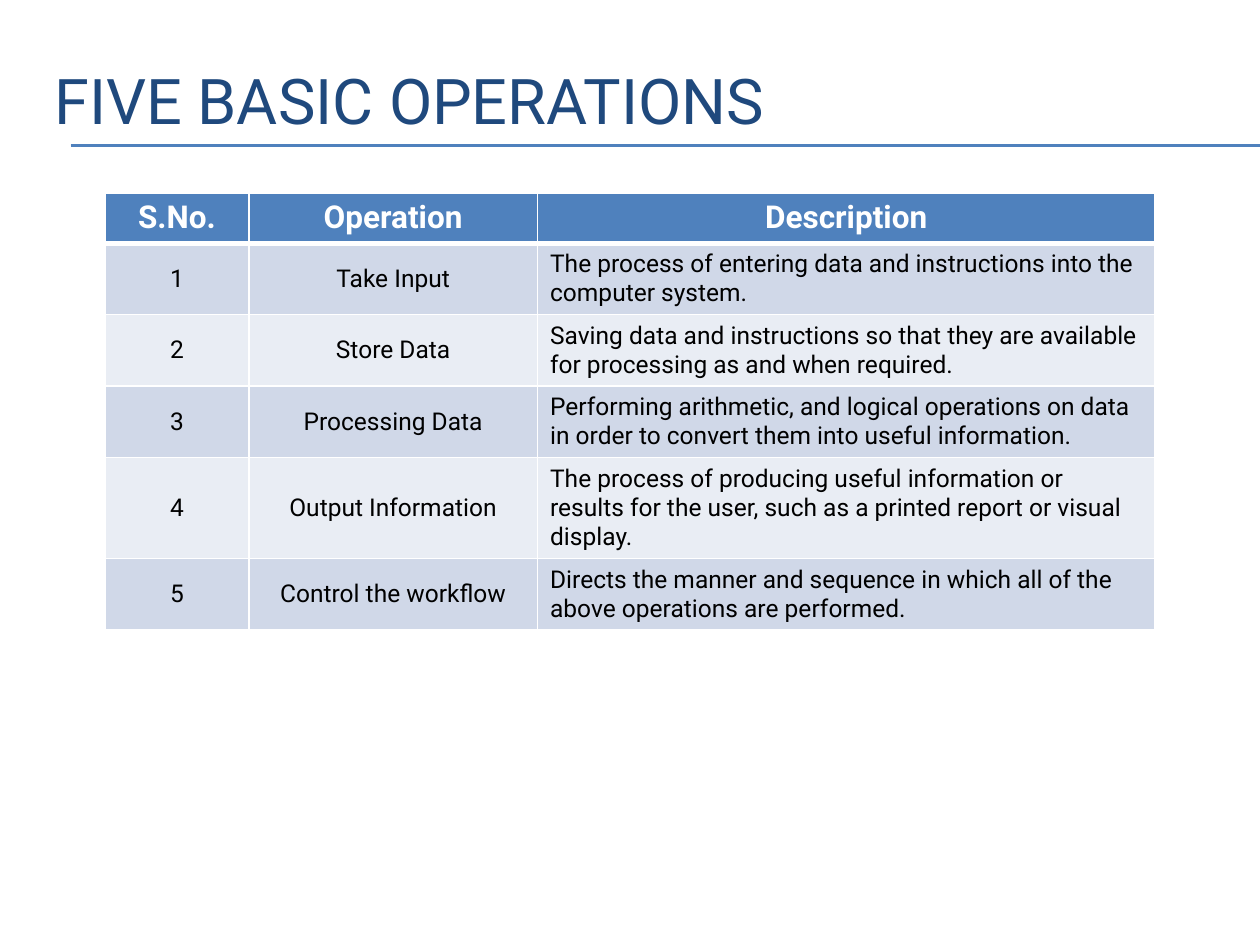
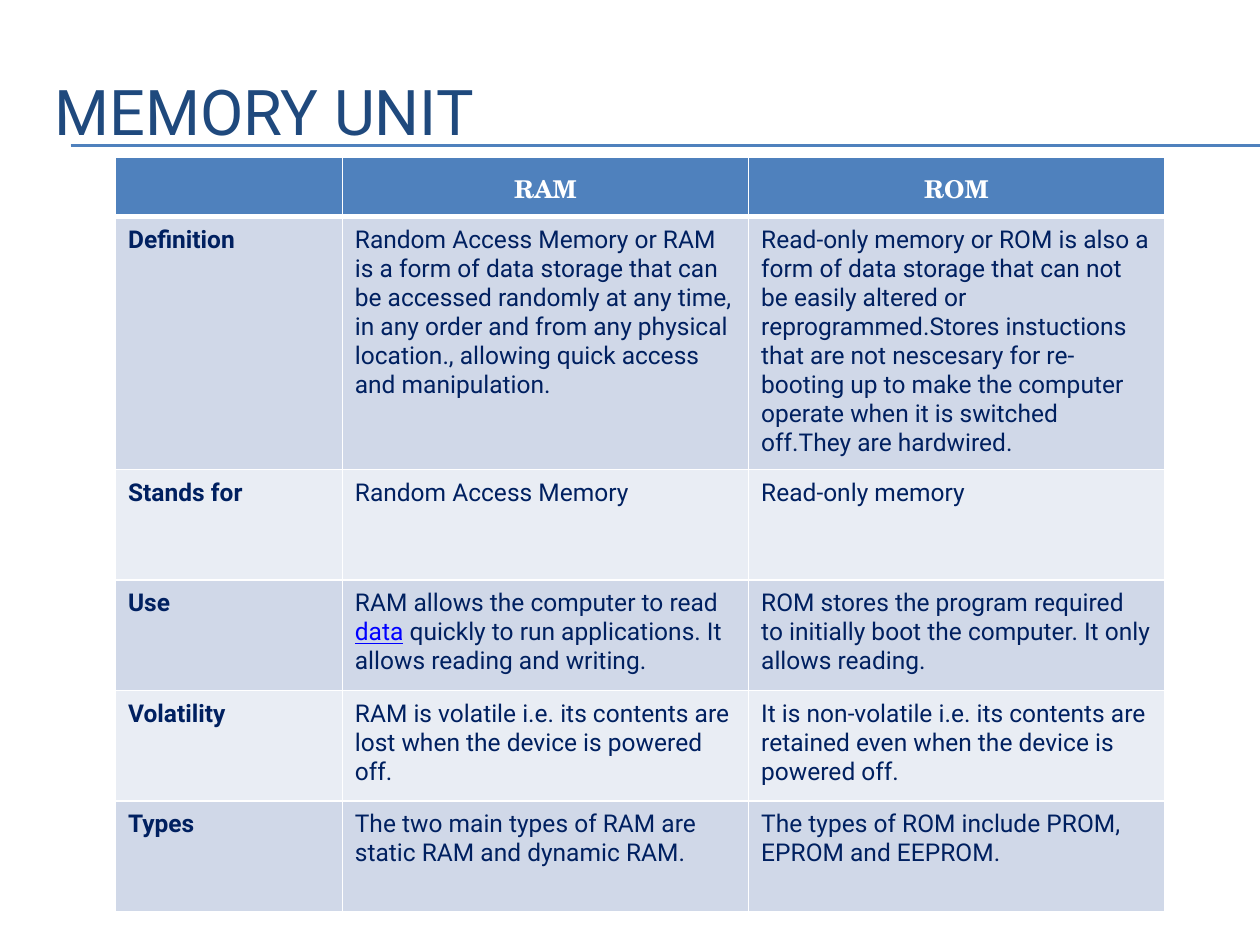
from dataclasses import dataclass

from lxml.etree import SubElement
from pptx import Presentation
from pptx.dml.color import RGBColor
from pptx.enum.shapes import MSO_CONNECTOR
from pptx.enum.text import MSO_ANCHOR, PP_ALIGN
from pptx.oxml.ns import qn
from pptx.util import Emu, Inches, Pt

# Shared look
BLUE = RGBColor(0x4F, 0x81, 0xBD)
TITLE_BLUE = RGBColor(0x1F, 0x49, 0x7D)
NAVY = RGBColor(0x00, 0x20, 0x60)
LINK_BLUE = RGBColor(0x00, 0x00, 0xFF)
BLACK = RGBColor(0x00, 0x00, 0x00)
WHITE = RGBColor(0xFF, 0xFF, 0xFF)
BANDS = (RGBColor(0xD0, 0xD8, 0xE8), RGBColor(0xE9, 0xED, 0xF4))
SANS = "Roboto"
SERIF = "TeX Gyre Schola"

# Slide grid: 120 columns by 90 rows of square cells
WIDTH, HEIGHT = Inches(10), Inches(7.5)
GRID_COLS = 120
RULE_LEFT = 6.72
RULE_ROWS = (13.8, 13.92)


@dataclass(frozen=True)
class Style:
    size: float
    color: RGBColor
    font: str = SANS
    bold: bool = False
    underline: bool = False


@dataclass(frozen=True)
class CellStyle:
    text: Style
    align: PP_ALIGN = PP_ALIGN.LEFT
    anchor: MSO_ANCHOR = MSO_ANCHOR.TOP
    insets: tuple[float, float, float, float] = (0.1, 0.05, 0.1, 0.05)


@dataclass(frozen=True)
class TableSpec:
    left: float
    top: float
    col_widths: tuple[float, ...]
    row_heights: tuple[float, ...]
    header: CellStyle
    body: tuple[CellStyle, ...]
    rows: tuple[tuple, ...]


@dataclass(frozen=True)
class SlideSpec:
    title: str
    title_top: float
    title_height: float
    table: TableSpec


TITLE = Style(36, TITLE_BLUE)
LINK = Style(14, LINK_BLUE, underline=True)


def grid(n: float) -> Emu:
    """Length of n grid cells."""
    return Emu(round(n * WIDTH / GRID_COLS))


def add_run(p, text: str, style: Style) -> None:
    r = p.add_run()
    r.text = text
    r.font.name = style.font
    r.font.size = Pt(style.size)
    r.font.bold = style.bold
    r.font.underline = style.underline
    r.font.color.rgb = style.color


def add_title(s, spec: SlideSpec) -> None:
    sp = s.shapes.add_textbox(grid(4), grid(spec.title_top), grid(114), grid(spec.title_height))
    tf = sp.text_frame
    tf.word_wrap = True
    tf.vertical_anchor = MSO_ANCHOR.MIDDLE
    add_run(tf.paragraphs[0], spec.title, TITLE)


def add_rules(s) -> None:
    for row in RULE_ROWS:
        line = s.shapes.add_connector(
            MSO_CONNECTOR.STRAIGHT, grid(RULE_LEFT), grid(row), WIDTH, grid(row))
        line.line.color.rgb = BLUE
        line.line.width = Pt(0.75)
        SubElement(line._element.spPr, qn("a:effectLst"))


def set_borders(cell, top: float, bottom: float) -> None:
    tc_pr = cell._tc.get_or_add_tcPr()
    for side, width in (("L", 1), ("R", 1), ("T", top), ("B", bottom)):
        ln = SubElement(tc_pr, qn(f"a:ln{side}"), w=str(Pt(width)))
        fill = SubElement(ln, qn("a:solidFill"))
        SubElement(fill, qn("a:srgbClr"), val=str(WHITE))


def fill_cell(cell, content, style: CellStyle) -> None:
    """Write a string, or a sequence of strings and (text, style) runs."""
    (cell.margin_left, cell.margin_top,
     cell.margin_right, cell.margin_bottom) = map(Inches, style.insets)
    cell.vertical_anchor = style.anchor
    p = cell.text_frame.paragraphs[0]
    p.alignment = style.align
    parts = (content,) if isinstance(content, str) else content
    for part in filter(None, parts):
        text, run_style = (part, style.text) if isinstance(part, str) else part
        add_run(p, text, run_style)


def add_grid_table(s, spec: TableSpec) -> None:
    table = s.shapes.add_table(
        len(spec.rows), len(spec.col_widths), grid(spec.left), grid(spec.top),
        grid(sum(spec.col_widths)), grid(sum(spec.row_heights))).table
    for col, width in zip(table.columns, spec.col_widths):
        col.width = grid(width)
    for i, (row, height) in enumerate(zip(spec.rows, spec.row_heights)):
        table.rows[i].height = grid(height)
        for j, content in enumerate(row):
            cell = table.cell(i, j)
            # The heavy line runs between header and first body row
            set_borders(cell, top=3 if i == 1 else 1, bottom=3 if i == 0 else 1)
            cell.fill.solid()
            cell.fill.fore_color.rgb = BANDS[(i - 1) % 2] if i else BLUE
            fill_cell(cell, content, spec.body[j] if i else spec.header)


# Five operations
op_text = Style(14, BLACK)
op_center = CellStyle(op_text, PP_ALIGN.CENTER, MSO_ANCHOR.MIDDLE)
OPERATIONS = TableSpec(
    left=10, top=18.36,
    col_widths=(13.7, 27.5, 58.8),
    row_heights=(4.65, 6.75, 6.75, 6.75, 9.5, 6.75),
    header=CellStyle(Style(18, WHITE, bold=True), PP_ALIGN.CENTER, MSO_ANCHOR.MIDDLE),
    body=(op_center, op_center, CellStyle(op_text, anchor=MSO_ANCHOR.MIDDLE)),
    rows=(
        ("S.No.", "Operation", "Description"),
        ("1", "Take Input",
         "The process of entering data and instructions into the computer system."),
        ("2", "Store Data",
         "Saving data and instructions so that they are available for processing "
         "as and when required."),
        ("3", "Processing Data",
         "Performing arithmetic, and logical operations on data in order to convert "
         "them into useful information."),
        ("4", "Output Information",
         "The process of producing useful information or results for the user, "
         "such as a printed report or visual display."),
        ("5", "Control the workflow",
         "Directs the manner and sequence in which all of the above operations "
         "are performed."),
    ),
)

# RAM against ROM
memory_cell = CellStyle(Style(14, NAVY), insets=(0.1, 0.07, 0.1, 0.07))
MEMORY = TableSpec(
    left=11, top=15,
    col_widths=(21.6, 38.7, 39.6),
    row_heights=(5.6, 23.9) + (10.53,) * 4,
    header=CellStyle(Style(14, WHITE, SERIF, bold=True), PP_ALIGN.CENTER,
                     insets=(0.08, 0.1, 0.08, 0.07)),
    body=(CellStyle(Style(14, NAVY, bold=True), insets=(0.1, 0.07, 0.05, 0.07)),
          memory_cell, memory_cell),
    rows=(
        ("", "RAM", "ROM"),
        ("Definition",
         "Random Access Memory or RAM is a form of data storage that can be accessed "
         "randomly at any time, in any order and from any physical location., "
         "allowing quick access and manipulation.",
         "Read-only memory or ROM is also a form of data storage that can not be "
         "easily altered or reprogrammed.Stores instuctions that are not nescesary "
         "for re-booting up to make the computer operate when it is switched "
         "off.They are hardwired."),
        ("Stands for", "Random Access Memory", "Read-only memory"),
        ("Use",
         ("RAM allows the computer to read ", ("data", LINK),
          " quickly to run applications. It allows reading and writing."),
         "ROM stores the program required to initially boot the computer. "
         "It only allows reading."),
        ("Volatility",
         "RAM is volatile i.e. its contents are lost when the device is powered off.",
         "It is non-volatile i.e. its contents are retained even when the device "
         "is powered off."),
        ("Types",
         "The two main types of RAM are static RAM and dynamic RAM.",
         "The types of ROM include PROM, EPROM and EEPROM."),
    ),
)

SLIDES = (
    SlideSpec("FIVE BASIC OPERATIONS", 2, 15, OPERATIONS),
    SlideSpec("MEMORY UNIT", 4, 13, MEMORY),
)


def main() -> None:
    prs = Presentation()
    prs.slide_width, prs.slide_height = WIDTH, HEIGHT
    for spec in SLIDES:
        s = prs.slides.add_slide(prs.slide_layouts[6])
        add_rules(s)
        add_title(s, spec)
        add_grid_table(s, spec.table)
    prs.save("out.pptx")


if __name__ == "__main__":
    main()
